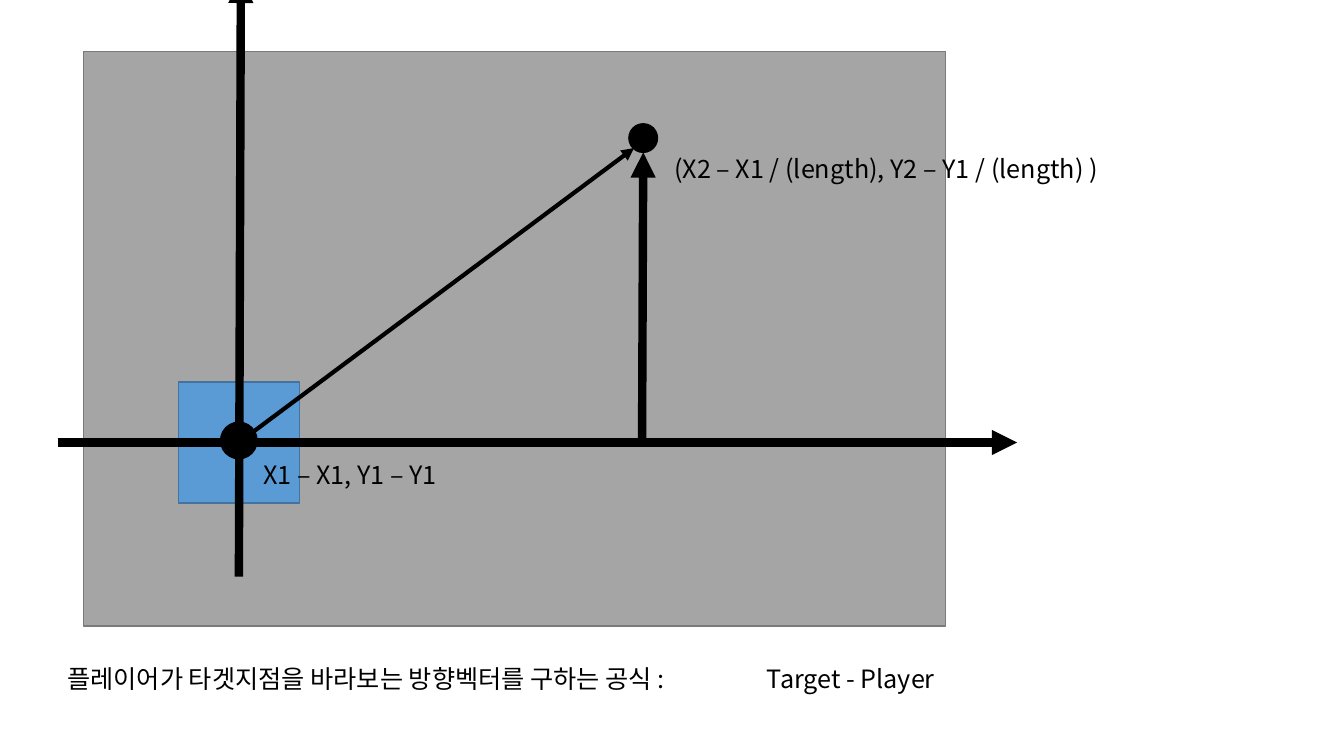
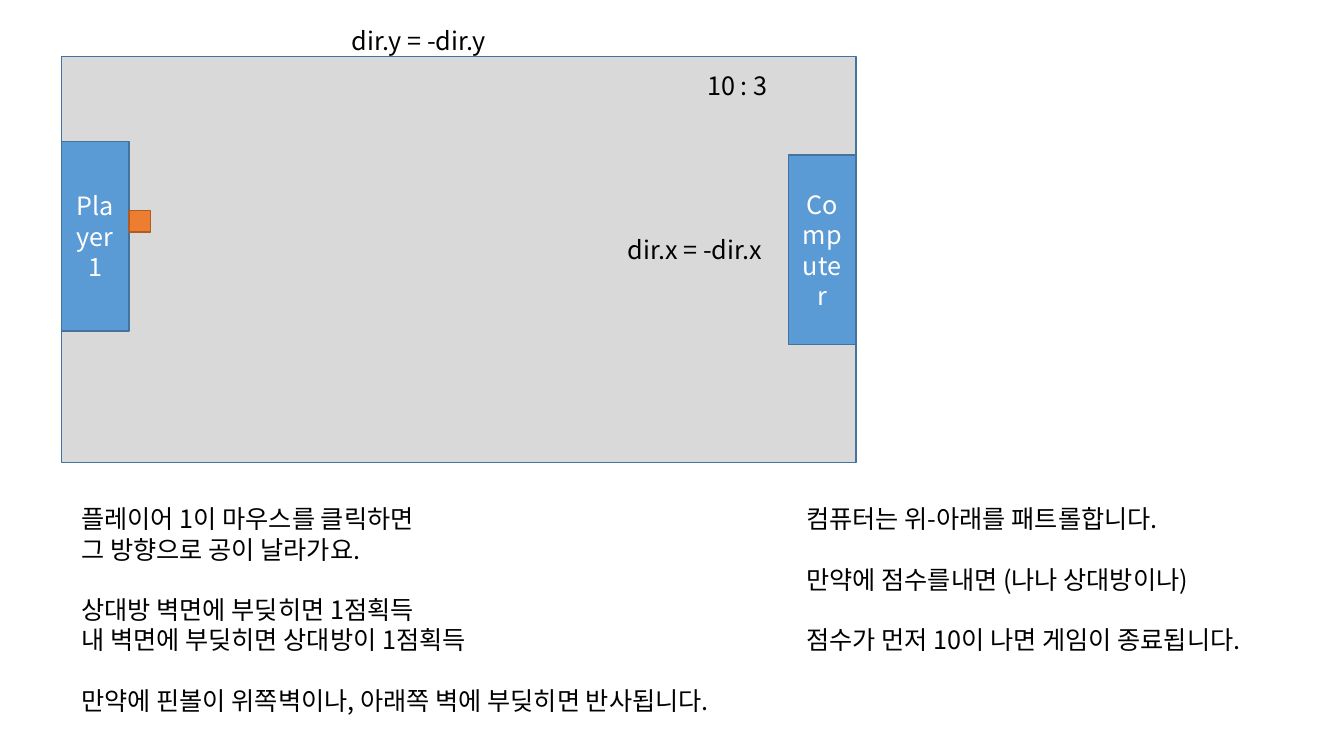
"""Build two slides on game vectors: aiming at a target and a paddle game."""
from dataclasses import dataclass

from lxml import etree
from pptx import Presentation
from pptx.dml.color import RGBColor
from pptx.enum.shapes import MSO_CONNECTOR, MSO_SHAPE
from pptx.enum.text import MSO_ANCHOR, MSO_AUTO_SIZE, PP_ALIGN
from pptx.oxml.ns import qn
from pptx.util import Cm, Pt

RECTANGLE, OVAL = MSO_SHAPE.RECTANGLE, MSO_SHAPE.OVAL
STRAIGHT = MSO_CONNECTOR.STRAIGHT
LEFT, CENTER = PP_ALIGN.LEFT, PP_ALIGN.CENTER
MIDDLE = MSO_ANCHOR.MIDDLE
FIT_SHAPE = MSO_AUTO_SIZE.SHAPE_TO_FIT_TEXT


@dataclass(frozen=True)
class Theme:
    font: str = "Noto Sans CJK KR"
    size: float = 18
    line_height: float = 21.6
    outline: float = 1
    black: str = "000000"
    white: str = "FFFFFF"
    gray: str = "A5A5A5"
    gray_edge: str = "7A7A7A"
    light_gray: str = "D9D9D9"
    blue: str = "5B9BD5"
    blue_edge: str = "43739E"
    orange: str = "ED7D31"
    orange_edge: str = "AF5C24"


THEME = Theme()


def write_text(box, blocks, color=THEME.black, align=LEFT, wrap=False):
    """Write blocks of lines into a box, with one line of space between blocks."""
    frame = box.text_frame
    frame.word_wrap = wrap
    para = frame.paragraphs[0]
    for block_index, block in enumerate(blocks):
        for line_index, line in enumerate(block):
            if block_index or line_index:
                para = frame.add_paragraph()
            para.alignment = align
            para.line_spacing = Pt(THEME.line_height)
            if block_index and not line_index:
                para.space_before = Pt(THEME.line_height)
            span = para.add_run()
            span.text = line
            span.font.size = Pt(THEME.size)
            span.font.color.rgb = RGBColor.from_string(color)
            span.font.name = THEME.font
            etree.SubElement(span._r.get_or_add_rPr(), qn("a:ea"), typeface=THEME.font)


def draw_shape(page, kind, place, fill, edge):
    """Draw a filled and outlined shape at a place given in centimetres."""
    shape = page.shapes.add_shape(kind, *map(Cm, place))
    shape.shadow.inherit = False
    shape.fill.solid()
    shape.fill.fore_color.rgb = RGBColor.from_string(fill)
    shape.line.color.rgb = RGBColor.from_string(edge)
    shape.line.width = Pt(THEME.outline)
    return shape


deck = Presentation()
deck.slide_width, deck.slide_height = Cm(33.87), Cm(19.05)
blank = deck.slide_layouts[6]
vector_page = deck.slides.add_slide(blank)
game_page = deck.slides.add_slide(blank)

draw_shape(vector_page, RECTANGLE, (2.11, 1.3, 21.72, 14.48), THEME.gray, THEME.gray_edge)
draw_shape(vector_page, RECTANGLE, (4.5, 9.63, 3.05, 3.05), THEME.blue, THEME.blue_edge)
for center_x, center_y, diameter in [(16.21, 3.48, 0.72), (6.02, 11.1, 0.92)]:
    place = (center_x - diameter / 2, center_y - diameter / 2, diameter, diameter)
    draw_shape(vector_page, OVAL, place, THEME.black, THEME.black)

axis_y = 11.15
arrows = [
    ((6.02, axis_y), (15.98, 3.73), 3),
    ((1.45, axis_y), (25.63, axis_y), 6),
    ((6.02, 14.53), (6.07, -0.56), 6),
    ((16.18, axis_y), (16.21, 3.84), 6),
]
for start, end, weight in arrows:
    arrow = vector_page.shapes.add_connector(STRAIGHT, *map(Cm, start + end))
    arrow.line.color.rgb = RGBColor.from_string(THEME.black)
    arrow.line.width = Pt(weight)
    properties = arrow._element.spPr
    etree.SubElement(properties.find(qn("a:ln")), qn("a:tailEnd"), type="triangle")
    etree.SubElement(properties, qn("a:effectLst"))

court_left, court_width, paddle_width = 1.55, 20.02, 1.7
draw_shape(game_page, RECTANGLE, (court_left, 1.42, court_width, 10.24),
           THEME.light_gray, THEME.blue_edge)
paddles = [
    ("Player1", court_left, 3.56),
    ("Computer", court_left + court_width - paddle_width, 3.91),
]
for name, left, top in paddles:
    paddle = draw_shape(game_page, RECTANGLE, (left, top, paddle_width, 4.78),
                        THEME.blue, THEME.blue_edge)
    paddle.text_frame.vertical_anchor = MIDDLE
    write_text(paddle, [[name]], color=THEME.white, align=CENTER, wrap=True)
draw_shape(game_page, RECTANGLE, (court_left + paddle_width, 5.31, 0.54, 0.54),
           THEME.orange, THEME.orange_edge)

player_rules = [
    ["플레이어 1이 마우스를 클릭하면", "그 방향으로 공이 날라가요."],
    ["상대방 벽면에 부딪히면 1점획득", "내 벽면에 부딪히면 상대방이 1점획득"],
    ["만약에 핀볼이 위쪽벽이나, 아래쪽 벽에 부딪히면 반사됩니다."],
]
computer_rules = [
    ["컴퓨터는 위-아래를 패트롤합니다."],
    ["만약에 점수를내면 (나나 상대방이나)"],
    ["점수가 먼저 10이 나면 게임이 종료됩니다."],
]
label_height = 1.02
labels = [
    (vector_page, (19.08, 16.59, 4.75, label_height), [["Target - Player"]], {}),
    (vector_page, (1.45, 16.59, 17.63, label_height),
     [["플레이어가 타겟지점을 바라보는 방향벡터를 구하는 공식 :"]], {}),
    (vector_page, (6.38, 11.46, 5.36, label_height), [["X1 – X1, Y1 – Y1"]], {}),
    (vector_page, (16.74, 3.73, 11.86, label_height),
     [["(X2 – X1 / (length), Y2 – Y1 / (length) )"]], {}),
    (game_page, (1.8, 12.57, 18.06, 5.64), player_rules, {}),
    (game_page, (20.07, 12.57, 12.75, 4.11), computer_rules, {}),
    (game_page, (15.57, 1.65, 6.02, label_height), [["10 : 3"]],
     {"align": CENTER, "wrap": True}),
    (game_page, (8.61, 0.51, 4.01, label_height), [["dir.y = -dir.y"]], {}),
    (game_page, (15.57, 5.79, 4.01, label_height), [["dir.x = -dir.x"]], {}),
]
for page, place, blocks, text_format in labels:
    box = page.shapes.add_textbox(*map(Cm, place))
    box.text_frame.auto_size = FIT_SHAPE
    write_text(box, blocks, **text_format)

deck.save("out.pptx")
